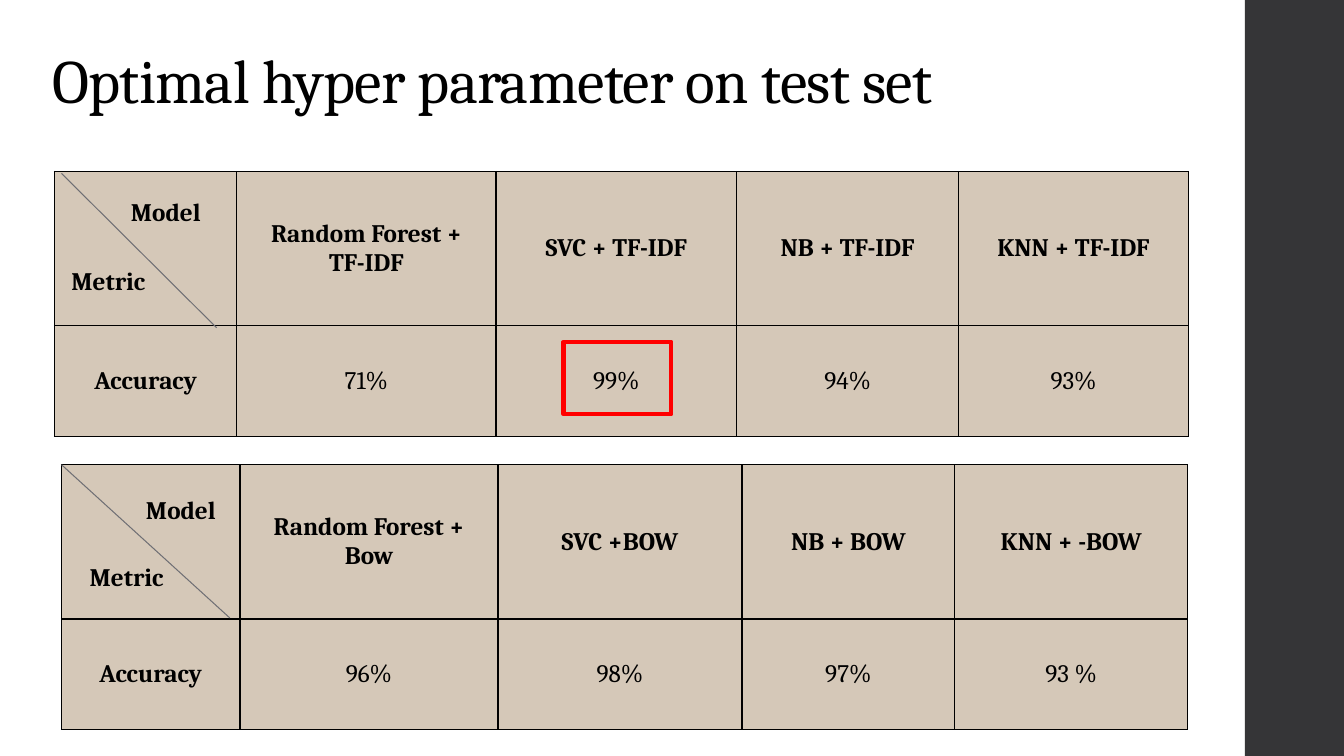
from pptx import Presentation
from pptx.dml.color import RGBColor
from pptx.enum import shapes, text
from pptx.oxml import parse_xml
from pptx.oxml.ns import nsdecls, qn
from pptx.util import Cm, Pt

BLACK = RGBColor(0x00, 0x00, 0x00)
CHARCOAL = RGBColor(0x35, 0x35, 0x37)
BEIGE = RGBColor(0xD5, 0xC8, 0xB8)
GRAY = RGBColor(0x6F, 0x6F, 0x74)
RED = RGBColor(0xFF, 0x00, 0x00)

ROW_HEIGHTS = (3.89, 2.79)
RESULTS = [
    {
        "position": (1.37, 4.32),
        "columns": (4.6, 6.53, 6.07, 5.59, 5.79),
        "rows": (
            ("", "Random Forest + TF-IDF", "SVC + TF-IDF", "NB + TF-IDF", "KNN + TF-IDF"),
            ("Accuracy", "71%", "99%", "94%", "93%"),
        ),
        "diagonal": (1.55, 4.37, 5.46, 8.26),
        "labels": {"Model": (3.05, 4.83), "Metric": (1.55, 6.55)},
    },
    {
        "position": (1.55, 11.71),
        "columns": (4.5, 6.5, 6.15, 5.36, 5.87),
        "rows": (
            ("", "Random Forest + Bow", "SVC +BOW", "NB + BOW", "KNN + -BOW"),
            ("Accuracy", "96%", "98%", "97%", "93 %"),
        ),
        "diagonal": (1.55, 11.71, 5.79, 15.57),
        "labels": {"Model": (3.43, 12.34), "Metric": (2.01, 14.02)},
    },
]


def write(frame, words, size, bold=False):
    frame.word_wrap = True
    paragraph = frame.paragraphs[0]
    paragraph.font.name = "Cambria"
    paragraph.font.size = Pt(size)
    paragraph.font.bold = bold
    paragraph.font.color.rgb = BLACK
    if words:
        paragraph.add_run().text = words
    return paragraph


def add_borders(cell):
    properties = cell._tc.get_or_add_tcPr()
    for index, side in enumerate(("lnL", "lnR", "lnT", "lnB")):
        properties.insert(index, parse_xml(
            f'<a:{side} {nsdecls("a")} w="12700"><a:solidFill>'
            f'<a:srgbClr val="{BLACK}"/></a:solidFill></a:{side}>'))


presentation = Presentation()
presentation.slide_width = Cm(33.87)
presentation.slide_height = Cm(19.05)
slide = presentation.slides.add_slide(presentation.slide_layouts[6])

# Side band
band = slide.shapes.add_shape(
    shapes.MSO_SHAPE.RECTANGLE, Cm(31.37), 0, Cm(2.5), Cm(19.05))
band.shadow.inherit = False
band.fill.solid()
band.fill.fore_color.rgb = CHARCOAL
band.line.fill.background()

# Title
title = slide.shapes.add_textbox(Cm(1.07), Cm(0.94), Cm(30.4), Cm(2.13))
title.text_frame.vertical_anchor = text.MSO_ANCHOR.BOTTOM
paragraph = write(title.text_frame, "Optimal hyper parameter on test set", 44)
paragraph.line_spacing = 0.9
paragraph.runs[0]._r.get_or_add_rPr().set("spc", "-50")

# Result tables
for result in RESULTS:
    left, top = result["position"]
    table = slide.shapes.add_table(
        2, 5, Cm(left), Cm(top),
        Cm(sum(result["columns"])), Cm(sum(ROW_HEIGHTS))).table
    table.first_row = False
    table.horz_banding = False
    for column, width in zip(table.columns, result["columns"]):
        column.width = Cm(width)
    for row, height in zip(table.rows, ROW_HEIGHTS):
        row.height = Cm(height)

    for row_index, row in enumerate(result["rows"]):
        for column_index, words in enumerate(row):
            cell = table.cell(row_index, column_index)
            cell.fill.solid()
            cell.fill.fore_color.rgb = BEIGE
            cell.margin_left = cell.margin_right = Cm(0.46)
            cell.margin_top = cell.margin_bottom = Cm(0.23)
            cell.vertical_anchor = text.MSO_ANCHOR.MIDDLE
            is_heading = row_index == 0 or column_index == 0
            paragraph = write(cell.text_frame, words, 18, is_heading)
            paragraph.alignment = text.PP_ALIGN.CENTER
            add_borders(cell)

    # Split corner cell
    diagonal = slide.shapes.add_connector(
        shapes.MSO_CONNECTOR.STRAIGHT, *[Cm(value) for value in result["diagonal"]])
    diagonal.line.color.rgb = GRAY
    diagonal.line.width = Pt(0.75)
    diagonal._element.spPr.append(diagonal._element.makeelement(qn("a:effectLst"), {}))
    for words, (left, top) in result["labels"].items():
        label = slide.shapes.add_textbox(Cm(left), Cm(top), Cm(3.02), Cm(1.02))
        write(label.text_frame, words, 18, True)

# Frame around the best TF-IDF score
highlight = slide.shapes.add_shape(
    shapes.MSO_SHAPE.RECTANGLE, Cm(14.2), Cm(8.61), Cm(2.72), Cm(1.83))
highlight.shadow.inherit = False
highlight.fill.background()
highlight.line.color.rgb = RED
highlight.line.width = Pt(3)

presentation.save("out.pptx")
